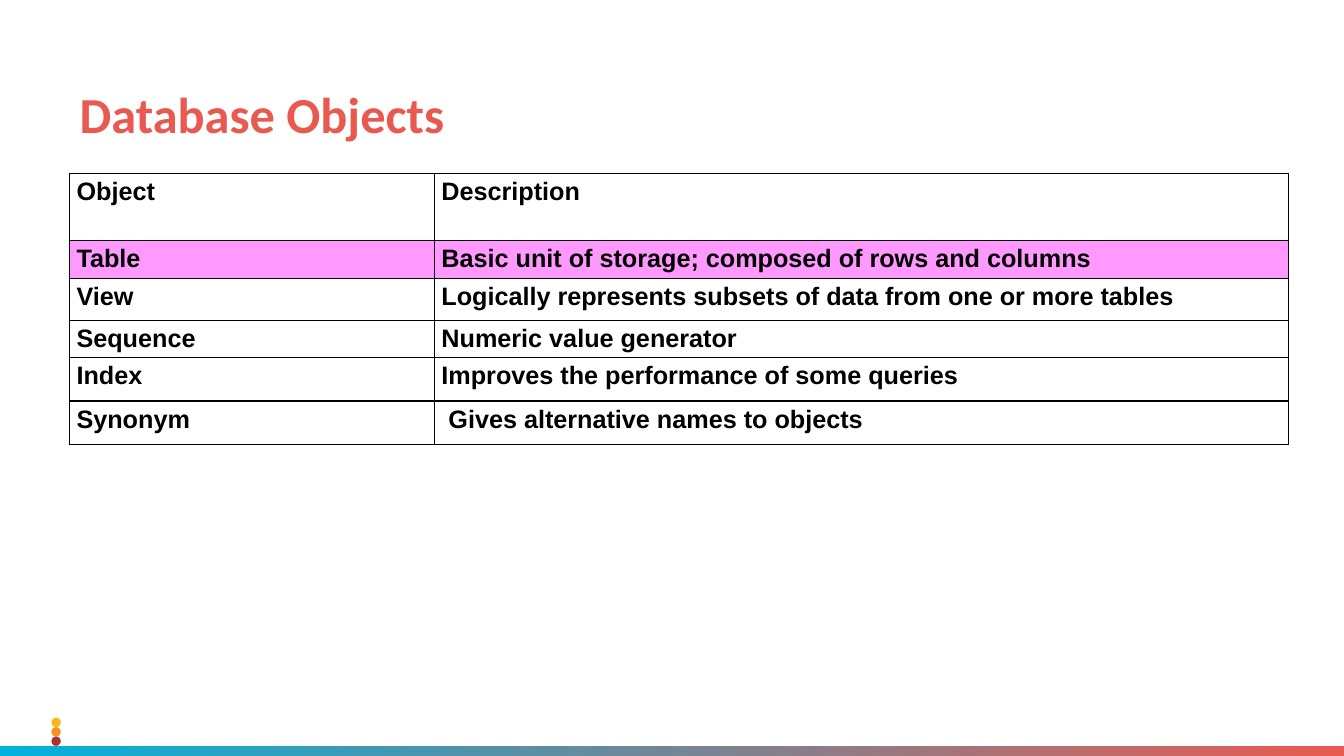
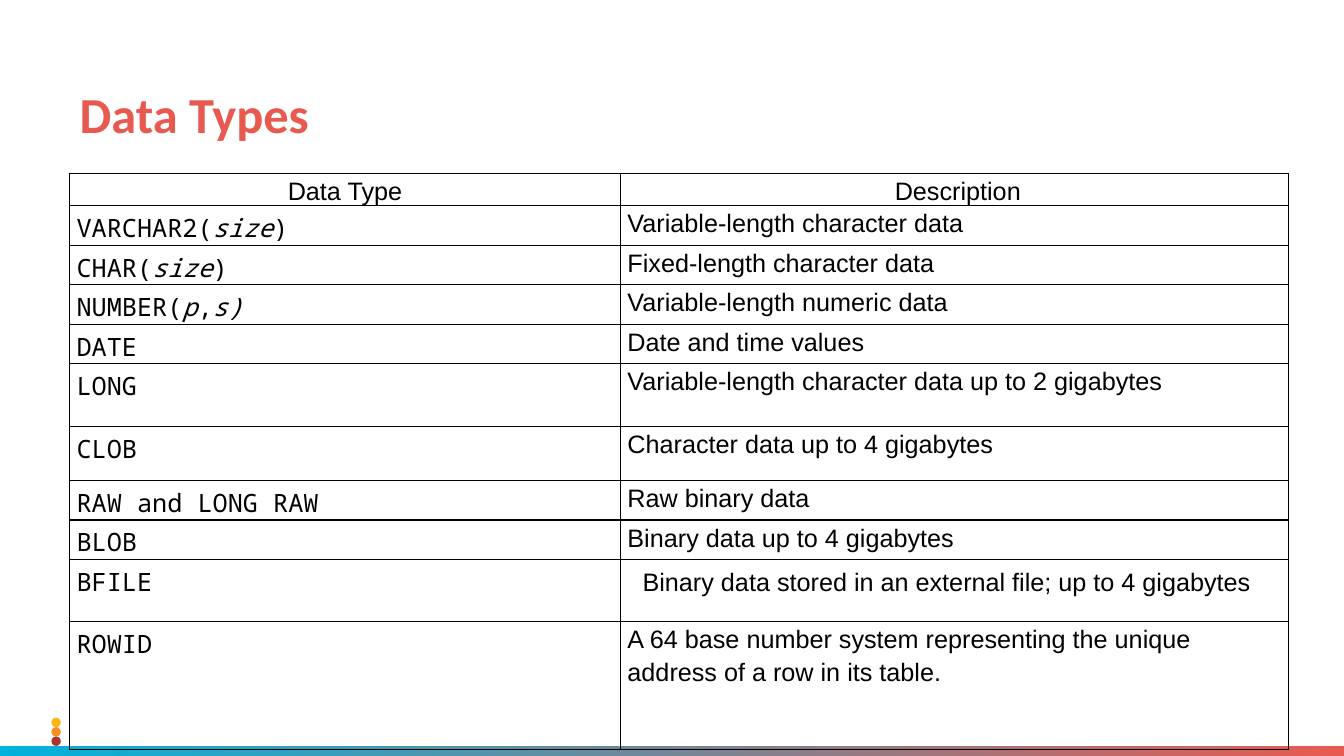
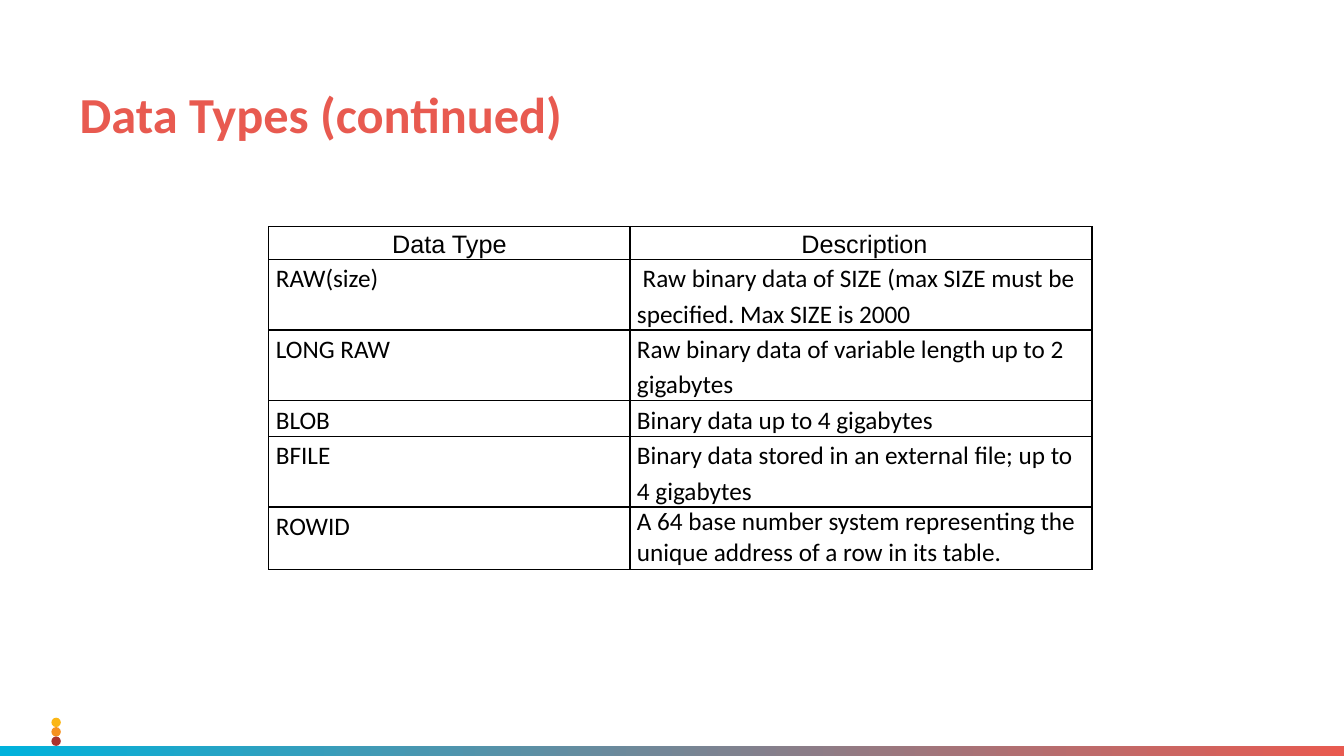
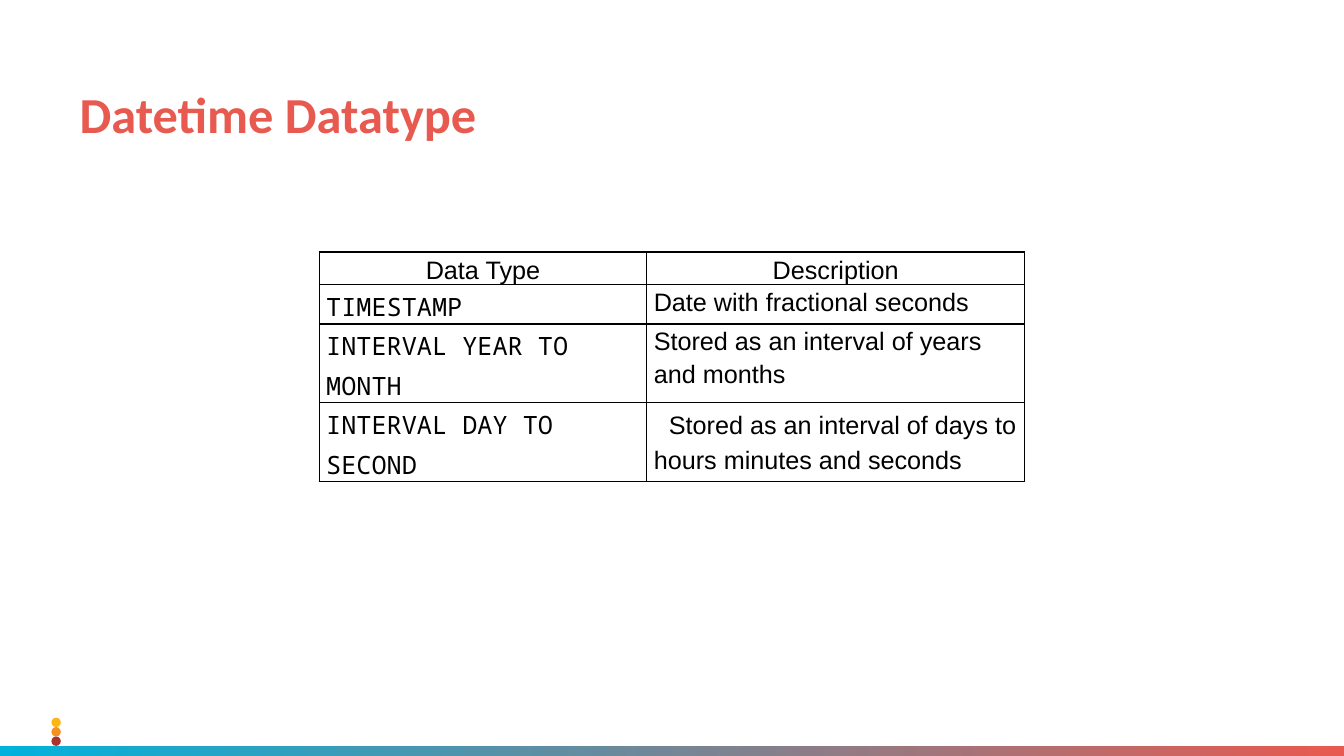
from dataclasses import dataclass

from lxml.etree import SubElement
from pptx import Presentation
from pptx.dml.color import RGBColor
from pptx.enum.shapes import MSO_SHAPE
from pptx.enum.text import MSO_ANCHOR, MSO_AUTO_SIZE, PP_ALIGN
from pptx.oxml.ns import qn
from pptx.util import Inches, Pt


@dataclass(frozen=True)
class Theme:
    """Colours, fonts and sizes that all slides share."""

    accent: str = "E85A50"
    band_start: str = "00B2DC"
    dots: tuple = ("FBB615", "F59120", "AC322C")
    ink: str = "000000"
    highlight: str = "FF99FF"
    sans: str = "Arial"
    heading: str = "Calibri"
    mono: str = "Noto Sans Mono"
    title_size: int = 36
    body_size: int = 18
    border: int = 1


THEME = Theme()
WIDTH, HEIGHT = Inches(13.33), Inches(7.5)
COLS, ROWS = 160, 90
TITLE_BOX = (8.28, 9.48, 145.08, 8.88)
BAND_BOX = (0, 88.8, COLS, 1.2)
DOTS_BOX = (6.12, 85.44, 1.12, 3.36)
ITALIC = {"italic": True}
CENTRED = {"font": THEME.sans, "align": PP_ALIGN.CENTER}


def grid(box):
    """Turn a box in grid columns and rows into slide lengths."""
    x, y, w, h = box
    return (round(x * WIDTH / COLS), round(y * HEIGHT / ROWS),
            round(w * WIDTH / COLS), round(h * HEIGHT / ROWS))


def rgb(colour):
    """Read a hex colour."""
    return RGBColor.from_string(colour)


def write(tf, runs, font=THEME.sans, size=THEME.body_size, colour=THEME.ink,
          bold=False, align=PP_ALIGN.LEFT, spacing=1.15):
    """Fill a text frame with one paragraph of plain or specially formatted runs."""
    p = tf.paragraphs[0]
    p.alignment, p.line_spacing = align, spacing
    for item in [runs] if isinstance(runs, str) else runs:
        text, style = (item, {}) if isinstance(item, str) else item
        r = p.add_run()
        r.text = text
        r.font.name = style.get("font", font)
        r.font.size = Pt(size)
        r.font.bold = bold
        r.font.italic = style.get("italic", False)
        r.font.color.rgb = rgb(colour)


def add_plain(shapes, kind, box):
    """Add a preset shape without line or shadow."""
    sp = shapes.add_shape(kind, *grid(box))
    sp.shadow.inherit = False
    sp.line.fill.background()
    return sp


def add_band(shapes, box):
    """Draw the gradient band at the foot."""
    sp = add_plain(shapes, MSO_SHAPE.RECTANGLE, box)
    sp.fill.gradient()
    sp.fill.gradient_angle = 0
    ends = ((0, THEME.band_start), (1, THEME.accent))
    for stop, (position, colour) in zip(sp.fill.gradient_stops, ends):
        stop.position, stop.color.rgb = position, rgb(colour)
    return sp


def add_dots(shapes, box):
    """Stack the coloured dots in equal steps."""
    x, y, w, h = box
    group = shapes.add_group_shape()
    step = h / len(THEME.dots)
    for i, colour in enumerate(THEME.dots):
        sp = add_plain(group.shapes, MSO_SHAPE.OVAL, (x, y + i * step, w, step))
        sp.fill.solid()
        sp.fill.fore_color.rgb = rgb(colour)
    return group


def share_footer(slide, layout):
    """Build the footer and hand it to the layout that all slides use."""
    for ph in list(layout.placeholders)[1:]:
        ph.element.getparent().remove(ph.element)
    parts = (add_band(slide.shapes, BAND_BOX), add_dots(slide.shapes, DOTS_BOX))
    tree = layout.element.cSld.spTree
    for part in parts:
        tree.append(part.element)
    for number, props in enumerate(tree.iter(qn("p:cNvPr")), 1):
        props.set("id", str(number))


def set_title(slide, text, box=TITLE_BOX):
    """Place and format the title placeholder."""
    sp = slide.shapes.title
    sp.left, sp.top, sp.width, sp.height = grid(box)
    tf = sp.text_frame
    tf.word_wrap, tf.auto_size = True, MSO_AUTO_SIZE.NONE
    tf.vertical_anchor = MSO_ANCHOR.MIDDLE
    write(tf, text, font=THEME.heading, size=THEME.title_size,
          colour=THEME.accent, bold=True, spacing=0.9)


def frame_cell(cell, fill=None):
    """Give a cell its borders, insets and fill."""
    cell.margin_left = cell.margin_right = Inches(0.07)
    cell.margin_top = cell.margin_bottom = 0
    cell.vertical_anchor = MSO_ANCHOR.TOP
    props = cell._tc.get_or_add_tcPr()
    for side in ("lnL", "lnR", "lnT", "lnB"):
        ln = SubElement(props, qn(f"a:{side}"), w=str(Pt(THEME.border)))
        solid = SubElement(ln, qn("a:solidFill"))
        SubElement(solid, qn("a:srgbClr"), val=THEME.ink)
    if fill:
        cell.fill.solid()
        cell.fill.fore_color.rgb = rgb(fill)
    else:
        cell.fill.background()


def add_grid_table(slide, box, widths, heights, rows, fonts, head=CENTRED,
                   bold=False, marked=None, tight=None):
    """Fill a box with a table whose columns and rows follow the given weights."""
    x, y, w, h = grid(box)
    table = slide.shapes.add_table(len(rows), len(widths), x, y, w, h).table
    table.first_row = table.horz_banding = False
    for column, weight in zip(table.columns, widths):
        column.width = round(w * weight / sum(widths))
    for row, weight in zip(table.rows, heights):
        row.height = round(h * weight / sum(heights))
    for i, row in enumerate(rows):
        for j, runs in enumerate(row):
            cell = table.cell(i, j)
            frame_cell(cell, THEME.highlight if i == marked else None)
            style = head if i == 0 else {"font": fonts[j]}
            write(cell.text_frame, runs, bold=bold,
                  spacing=1.0 if (i, j) == tight else 1.15, **style)


OBJECTS = [
    ("Object", "Description"),
    ("Table", "Basic unit of storage; composed of rows and columns"),
    ("View", "Logically represents subsets of data from one or more tables"),
    ("Sequence", "Numeric value generator"),
    ("Index", "Improves the performance of some queries"),
    ("Synonym", " Gives alternative names to objects"),
]
TYPES = [
    ("Data Type", " Description"),
    (("VARCHAR2(", ("size", ITALIC), ")"), "Variable-length character data"),
    (("CHAR(", ("size", ITALIC), ")"), "Fixed-length character data"),
    (("NUMBER(", ("p", ITALIC), ",", ("s)", ITALIC)),
     "Variable-length numeric data"),
    ("DATE", "Date and time values"),
    ("LONG", "Variable-length character data up to 2 gigabytes"),
    ("CLOB", "Character data up to 4 gigabytes"),
    ("RAW and LONG RAW", "Raw binary data"),
    ("BLOB", "Binary data up to 4 gigabytes"),
    ("BFILE", ((" ", {"font": THEME.mono}),
               "Binary data stored in an external file; up to 4 gigabytes")),
    ("ROWID", "A 64 base number system representing the unique address of a row"
              " in its table."),
]
MORE_TYPES = [
    ("Data Type", " Description"),
    ("RAW(size)", " Raw binary data of SIZE (max SIZE must be specified."
                  " Max SIZE is 2000"),
    ("LONG RAW", "Raw binary data of variable length up to 2 gigabytes"),
    ("BLOB", "Binary data up to 4 gigabytes"),
    ("BFILE", "Binary data stored in an external file; up to 4 gigabytes"),
    TYPES[-1],
]
DATETIMES = [
    ("Data Type", "Description"),
    ("TIMESTAMP", "Date with fractional seconds"),
    ("INTERVAL YEAR TO MONTH", "Stored as an interval of years and months"),
    ("INTERVAL DAY TO SECOND",
     ((" ", {"font": THEME.mono}),
      "Stored as an interval of days to hours minutes and seconds")),
]
CODE_FONTS = (THEME.mono, THEME.sans)
SLIDES = [
    ("Database Objects", dict(
        box=(8.28, 20.64, 145.08, 32.28), widths=(3.62, 8.47),
        heights=(0.67, 0.37, 0.42, 0.37, 0.43, 0.43), rows=OBJECTS,
        fonts=(THEME.sans, THEME.sans), head={}, bold=True, marked=1)),
    ("Data Types", dict(
        box=(8.28, 20.64, 145.08, 68.52), widths=(5.47, 6.63),
        heights=(0.32, *[0.39] * 4, 0.62, 0.54, 0.39, 0.39, 0.62, 1.27),
        rows=TYPES, fonts=CODE_FONTS)),
    ("Data Types (continued)", dict(
        box=(32, 27, 98, 40.68), widths=(3.58, 4.58),
        heights=(0.32, 0.7, 0.7, 0.35, 0.7, 0.62), rows=MORE_TYPES,
        fonts=(THEME.heading, THEME.heading), tight=(5, 1))),
    ("Datetime Datatype", dict(
        box=(38, 30, 84, 27.24), widths=(3.25, 3.75),
        heights=(0.32, 0.39, 0.78, 0.78), rows=DATETIMES, fonts=CODE_FONTS)),
]


def main():
    """Build and save the presentation."""
    prs = Presentation()
    prs.slide_width, prs.slide_height = WIDTH, HEIGHT
    layout = prs.slide_layouts.get_by_name("Title Only")
    for i, (title, table) in enumerate(SLIDES):
        s = prs.slides.add_slide(layout)
        if i == 0:
            share_footer(s, layout)
        set_title(s, title)
        add_grid_table(s, **table)
    prs.save("out.pptx")


if __name__ == "__main__":
    main()
